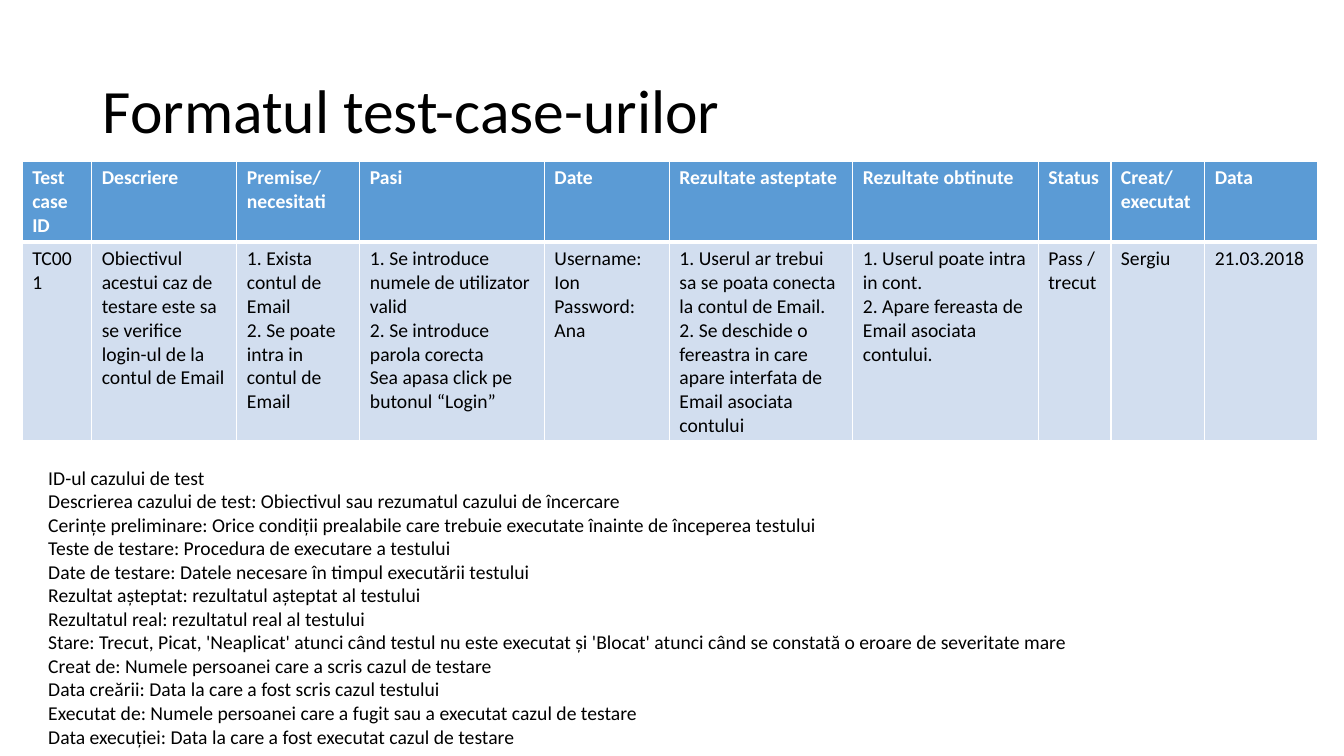
from lxml.etree import SubElement
from pptx import Presentation
from pptx.dml.color import RGBColor
from pptx.enum.text import MSO_ANCHOR as Anchor
from pptx.oxml.ns import qn
from pptx.util import Inches, Pt

TITLE = "Formatul test-case-urilor"
COLUMNS = [
    (0.69, "Test case ID", ["TC001"]),
    (1.44, "Descriere", ["Obiectivul acestui caz de testare este sa se verifice "
                         "login-ul de la contul de Email"]),
    (1.22, "Premise/ necesitati", ["1. Exista contul de Email",
                                   "2. Se poate intra in contul de Email"]),
    (1.83, "Pasi", ["1. Se introduce numele de utilizator valid",
                    "2. Se introduce parola corecta",
                    "Sea apasa click pe butonul “Login”"]),
    (1.24, "Date", ["Username: Ion", "Password: Ana"]),
    (1.82, "Rezultate asteptate", [
        "1. Userul ar trebui sa se poata conecta la contul de Email. ",
        "2. Se deschide o fereastra in care apare interfata de Email asociata contului"]),
    (1.84, "Rezultate obtinute", ["1. Userul poate intra in cont. ",
                                  "2. Apare fereasta de Email asociata contului."]),
    (0.72, "Status", ["Pass / trecut"]),
    (0.93, "Creat/ executat", ["Sergiu"]),
    (1.12, "Data", ["21.03.2018"]),
]
FIELD_NOTES = [
    "ID-ul cazului de test",
    "Descrierea cazului de test: Obiectivul sau rezumatul cazului de încercare",
    "Cerințe preliminare: Orice condiții prealabile care trebuie executate înainte de începerea testului",
    "Teste de testare: Procedura de executare a testului",
    "Date de testare: Datele necesare în timpul executării testului",
    "Rezultat așteptat: rezultatul așteptat al testului",
    "Rezultatul real: rezultatul real al testului",
    "Stare: Trecut, Picat, 'Neaplicat' atunci când testul nu este executat și 'Blocat' "
    "atunci când se constată o eroare de severitate mare",
    "Creat de: Numele persoanei care a scris cazul de testare",
    "Data creării: Data la care a fost scris cazul testului",
    "Executat de: Numele persoanei care a fugit sau a executat cazul de testare",
    "Data execuției: Data la care a fost executat cazul de testare",
]

BLACK = RGBColor(0, 0, 0)
WHITE = RGBColor(0xFF, 0xFF, 0xFF)
HEADER_BLUE = RGBColor(0x5B, 0x9B, 0xD5)
BODY_BLUE = RGBColor(0xD2, 0xDE, 0xEF)
ROW_HEIGHTS = (0.8, 1.97)

deck = Presentation()
deck.slide_width, deck.slide_height = Inches(13.33), Inches(7.5)
slide = deck.slides.add_slide(deck.slide_layouts[6])


def write(paragraph, words, size=14, color=BLACK, bold=False):
    run = paragraph.add_run()
    run.text = words
    run.font.name, run.font.size, run.font.bold = "Calibri", Pt(size), bold
    run.font.color.rgb = color


def text_frame(left, top, width, height):
    frame = slide.shapes.add_textbox(*map(Inches, (left, top, width, height))).text_frame
    frame.word_wrap = True
    return frame


def fill_cell(cell, lines, fill, color, bold, bottom):
    for index, line in enumerate(lines):
        frame = cell.text_frame
        paragraph = frame.add_paragraph() if index else frame.paragraphs[0]
        write(paragraph, line, color=color, bold=bold)
    properties = cell._tc.get_or_add_tcPr()
    for side, points in (("L", 1), ("R", 1), ("T", 1), ("B", bottom)):
        border = SubElement(properties, qn(f"a:ln{side}"), w=str(Pt(points)))
        SubElement(SubElement(border, qn("a:solidFill")), qn("a:srgbClr"), val=str(WHITE))
    cell.fill.solid()
    cell.fill.fore_color.rgb = fill


heading = text_frame(0.92, 0.4, 11.5, 1.45)
heading.vertical_anchor = Anchor.MIDDLE
heading.paragraphs[0].line_spacing = 0.9
write(heading.paragraphs[0], TITLE, size=44)

table_width = sum(width for width, _, _ in COLUMNS)
test_case = slide.shapes.add_table(
    2, len(COLUMNS), Inches(0.22), Inches(1.6),
    Inches(table_width), Inches(sum(ROW_HEIGHTS))).table
for row, height in zip(test_case.rows, ROW_HEIGHTS):
    row.height = Inches(height)
for index, (width, header, body) in enumerate(COLUMNS):
    test_case.columns[index].width = Inches(width)
    fill_cell(test_case.cell(0, index), [header], HEADER_BLUE, WHITE, True, 3)
    fill_cell(test_case.cell(1, index), body, BODY_BLUE, BLACK, False, 1)

notes = text_frame(0.38, 4.57, 12.58, 2.93).paragraphs[0]
for index, note in enumerate(FIELD_NOTES):
    if index:
        notes.add_line_break()
    write(notes, note)

deck.save("out.pptx")
